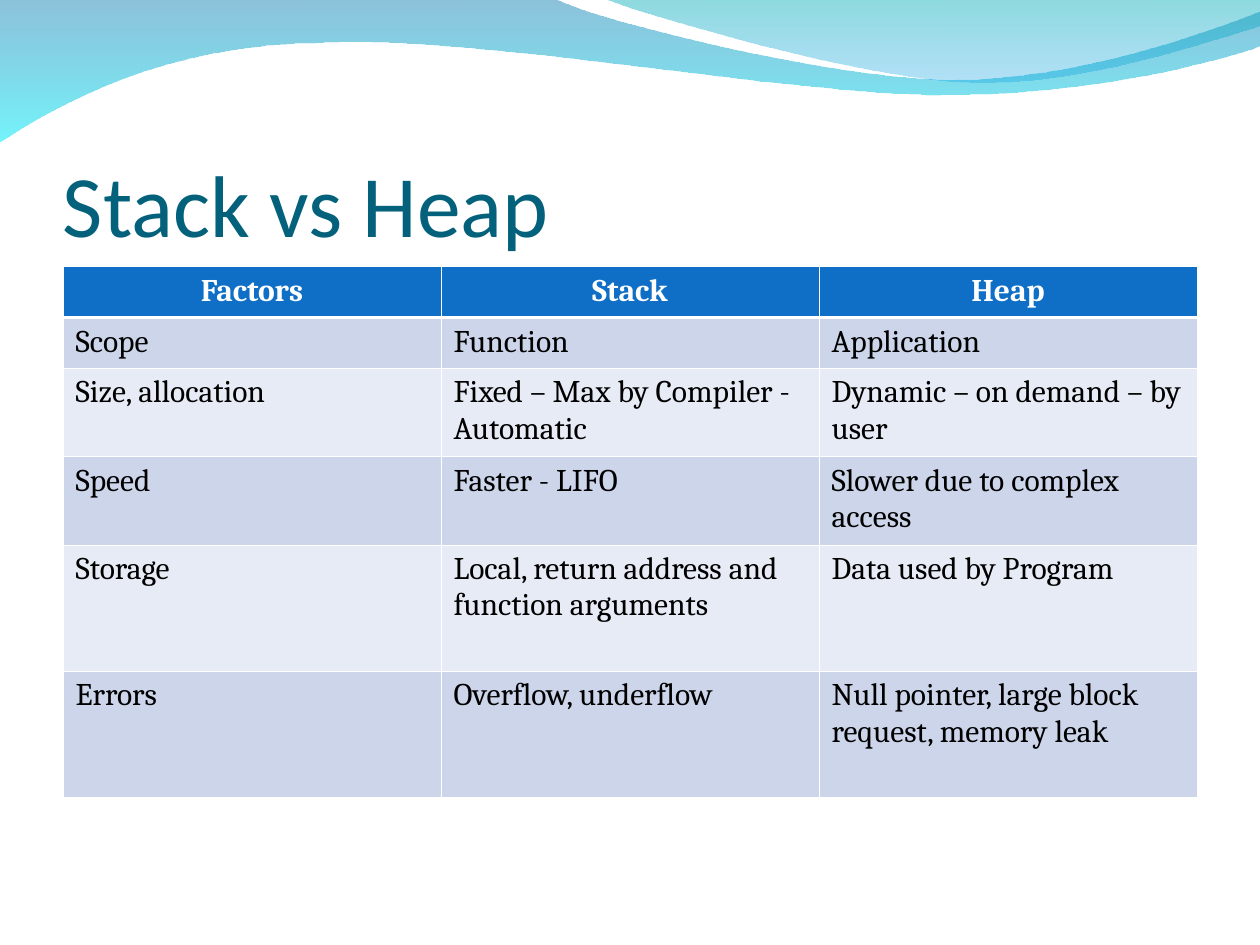
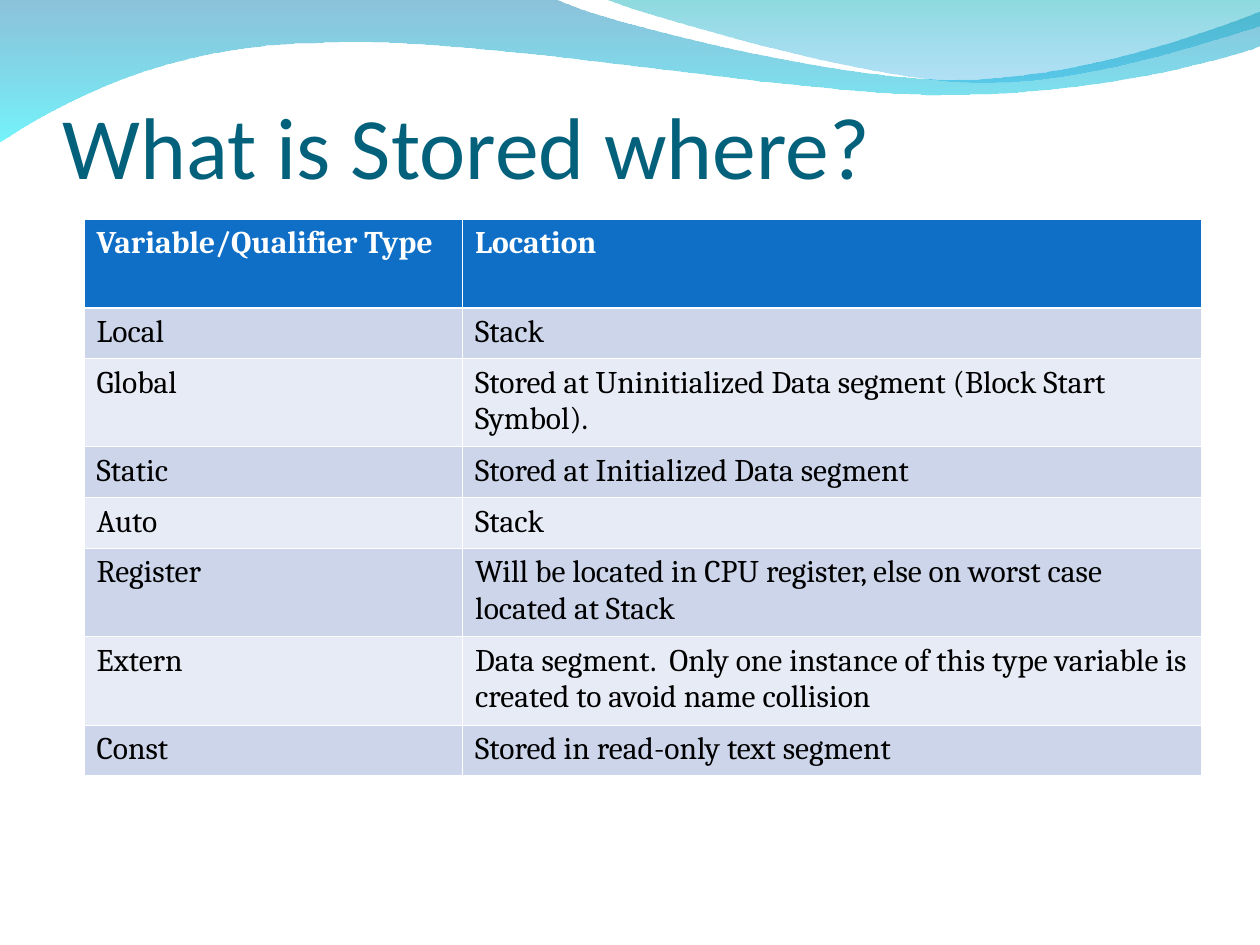
from dataclasses import dataclass

from lxml import etree
from pptx import Presentation
from pptx.dml.color import RGBColor
from pptx.enum.text import MSO_ANCHOR, PP_ALIGN
from pptx.oxml.ns import qn
from pptx.util import Emu, Inches, Pt

WIDTH, HEIGHT = Inches(10), Inches(7.5)
COLUMNS, ROWS = 100, 75
TITLE_FONT, TABLE_FONT = "Calibri", "Cambria"
TITLE_COLOUR, HEADER_FILL = "04617B", "0F6FC6"
BAND_FILLS = ("CCD5EA", "E7EBF5")
WHITE, BLACK = "FFFFFF", "000000"
THIN_LINE, HEADER_LINE = Pt(0.45), Pt(1.47)
ROW_PADDING, LINE_HEIGHT = 1.02, 3

WIDE_WAVE = [
    [(0, -0.1)],
    [(44, -0.1)],
    [(47.6, 1.7), (66.4, 6.3), (75.8, 6.3)],
    [(85.3, 6.3), (95.8, 2.6), (100, 0.9)],
    [(100.1, 3.6)],
    [(98.3, 4.4), (87, 7.6), (74.6, 7.5)],
    [(62.2, 7.5), (38.2, 2.8), (25.7, 3.4)],
    [(12.9, 3.5), (4.6, 8.3), (-0.1, 11.3)],
]
RIGHT_WAVE = [
    [(47.9, -0.1)],
    [(50.9, 1.1), (68.2, 6.2), (76.9, 6.5)],
    [(85.6, 6.9), (96.1, 3.2), (100, 2.1)],
    [(100, 0)],
]
WAVES = [
    (WIDE_WAVE, [("0079AF", 45), ("00EBF8", 55)]),
    (RIGHT_WAVE, [("00ADB6", 45), ("009BE5", 30)]),
]


@dataclass
class Box:
    left: float
    top: float
    width: float
    height: float

    def place(self):
        return (across(self.left), down(self.top),
                across(self.width), down(self.height))


def across(columns):
    return Emu(round(WIDTH * columns / COLUMNS))


def down(rows):
    return Emu(round(HEIGHT * rows / ROWS))


def colour(text):
    return RGBColor.from_string(text)


def bend(shape, segments):
    lines = iter(list(shape._element.iter(qn("a:lnTo"))))
    for segment in segments[1:]:
        controls = [next(lines) for _ in segment]
        if len(controls) == 3:
            curve = etree.Element(qn("a:cubicBezTo"))
            controls[0].addprevious(curve)
            for line in controls:
                curve.append(line[0])
                line.getparent().remove(line)


def add_waves(slide, box):
    for segments, stops in WAVES:
        points = [(across(box.left + x), down(box.top + y))
                  for segment in segments for x, y in segment]
        builder = slide.shapes.build_freeform(*points[0])
        builder.add_line_segments(points[1:], close=True)
        shape = builder.convert_to_shape()
        bend(shape, segments)
        shape.shadow.inherit = False
        shape.line.fill.background()
        shape.fill.gradient()
        shape.fill.gradient_angle = 270
        for stop, (stop_colour, _) in zip(shape.fill.gradient_stops, stops):
            stop.color.rgb = colour(stop_colour)
        elements = shape._element.spPr.iter(qn("a:srgbClr"))
        for element, (_, opacity) in zip(elements, stops):
            etree.SubElement(element, qn("a:alpha"), val=str(opacity * 1000))


def add_title(slide, box, text):
    frame = slide.shapes.add_textbox(*box.place()).text_frame
    frame.word_wrap = True
    frame.vertical_anchor = MSO_ANCHOR.BOTTOM
    frame.margin_left = frame.margin_right = frame.margin_bottom = 0
    paragraph = frame.paragraphs[0]
    paragraph.text = text
    style(paragraph, TITLE_FONT, 50, TITLE_COLOUR)


def style(paragraph, name, size, font_colour, bold=False):
    font = paragraph.font
    font.name, font.size, font.bold = name, Pt(size), bold
    font.color.rgb = colour(font_colour)


def set_borders(cell, row):
    properties = cell._tc.get_or_add_tcPr()
    widths = {
        "lnL": THIN_LINE,
        "lnR": THIN_LINE,
        "lnT": HEADER_LINE if row == 1 else THIN_LINE,
        "lnB": HEADER_LINE if row == 0 else THIN_LINE,
    }
    for index, (side, width) in enumerate(widths.items()):
        line = etree.Element(qn(f"a:{side}"), w=str(int(width)))
        fill = etree.SubElement(line, qn("a:solidFill"))
        etree.SubElement(fill, qn("a:srgbClr"), val=WHITE)
        properties.insert(index, line)


def add_grid(slide, box, column_widths, records, header_align):
    graphic_frame = slide.shapes.add_table(
        len(records), len(column_widths), *box.place())
    table = graphic_frame.table
    for column, width in zip(table.columns, column_widths):
        column.width = across(width)
    for row, (lines, *texts) in enumerate(records):
        is_header = row == 0
        table.rows[row].height = down(ROW_PADDING + LINE_HEIGHT * lines)
        for index, text in enumerate(texts):
            cell = table.cell(row, index)
            cell.fill.solid()
            cell.fill.fore_color.rgb = colour(
                HEADER_FILL if is_header else BAND_FILLS[(row - 1) % 2])
            set_borders(cell, row)
            paragraph = cell.text_frame.paragraphs[0]
            paragraph.text = text
            paragraph.alignment = header_align if is_header else PP_ALIGN.LEFT
            style(paragraph, TABLE_FONT, 18,
                  WHITE if is_header else BLACK, is_header)
    graphic_frame.height = down(box.height)


def add_table_slide(presentation, title, title_top, box, column_widths,
                    records, header_align=PP_ALIGN.LEFT):
    slide = presentation.slides.add_slide(presentation.slide_layouts[6])
    add_waves(slide, Box(0, 0, COLUMNS, 11.3))
    add_title(slide, Box(5, title_top, 90, 12.5), title)
    add_grid(slide, box, column_widths, records, header_align)


STACK_VS_HEAP = [
    (1, "Factors", "Stack", "Heap"),
    (1, "Scope", "Function", "Application"),
    (2, "Size, allocation", "Fixed – Max by Compiler - Automatic",
     "Dynamic – on demand – by user"),
    (2, "Speed", "Faster - LIFO", "Slower due to complex access"),
    (3, "Storage", "Local, return address and function arguments",
     "Data used by Program"),
    (3, "Errors", "Overflow, underflow",
     "Null pointer, large block request, memory leak"),
]
STORAGE_LOCATIONS = [
    (2, "Variable/Qualifier Type", "Location"),
    (1, "Local", "Stack"),
    (2, "Global",
     "Stored at Uninitialized Data segment (Block Start Symbol)."),
    (1, "Static", "Stored at Initialized Data segment"),
    (1, "Auto", "Stack"),
    (2, "Register",
     "Will be located in CPU register, else on worst case located at Stack"),
    (2, "Extern",
     "Data segment.  Only one instance of this type variable is created "
     "to avoid name collision"),
    (1, "Const", "Stored in read-only text segment"),
]


def main():
    presentation = Presentation()
    presentation.slide_width, presentation.slide_height = WIDTH, HEIGHT
    add_table_slide(presentation, "Stack vs Heap", 7.7,
                    Box(5, 21.17, 90, 36.1), [30] * 3,
                    STACK_VS_HEAP, PP_ALIGN.CENTER)
    add_table_slide(presentation, "What is Stored where?", 3.1,
                    Box(6.67, 17.4, 88.6, 41.3), [30.05, 58.6],
                    STORAGE_LOCATIONS)
    presentation.save("out.pptx")


if __name__ == "__main__":
    main()
